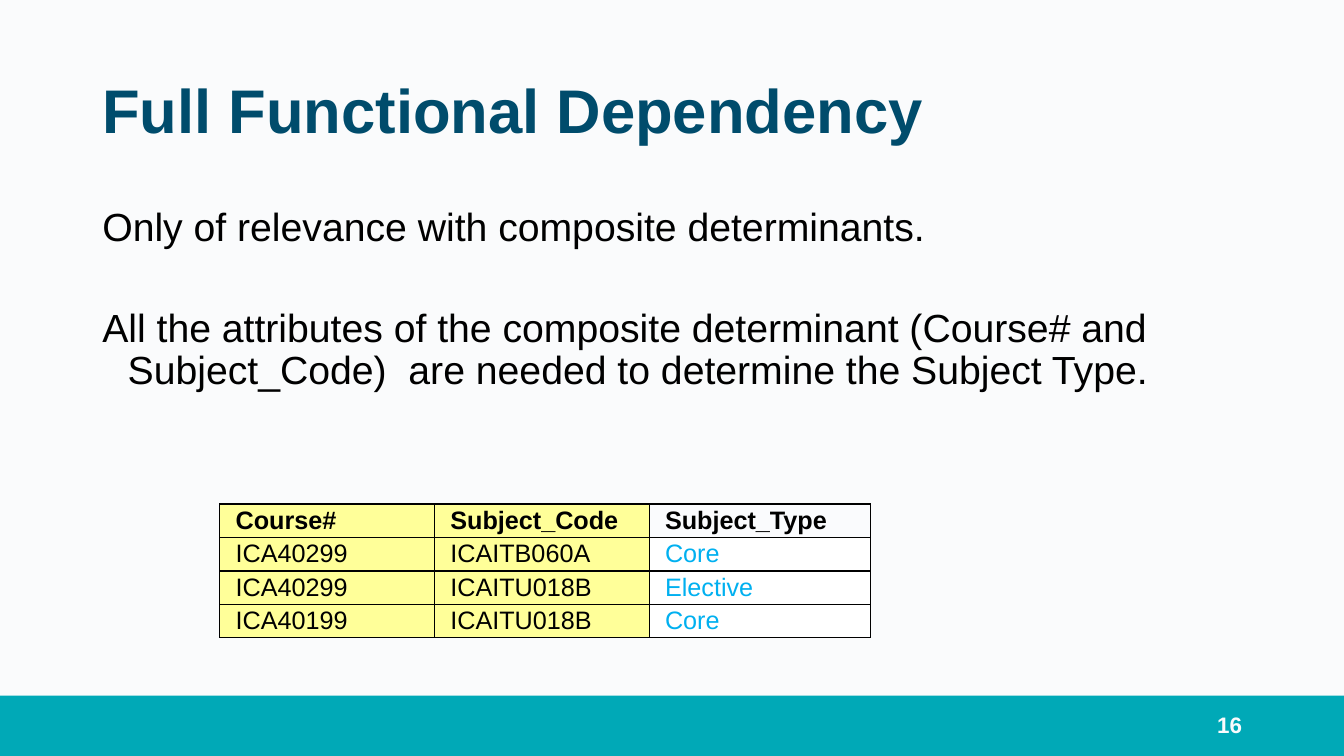
from lxml import etree
from pptx import Presentation
from pptx import util as u
from pptx.dml import color
from pptx.enum import shapes, text
from pptx.oxml import ns


def rgb(value):
    return color.RGBColor.from_string(value)


def write(para, words, size=18, ink="000000", bold=False, align=text.PP_ALIGN.LEFT,
          spacing=1.0, before=0, hanging=0):
    para.alignment = align
    para.line_spacing = spacing
    para.space_before = u.Pt(before)
    if hanging:
        props = para._p.get_or_add_pPr()
        props.set("marL", str(u.Cm(hanging)))
        props.set("indent", str(-u.Cm(hanging)))
    span = para.add_run()
    span.text = words
    span.font.name = "Arial"
    span.font.size = u.Pt(size)
    span.font.bold = bold
    span.font.color.rgb = rgb(ink)


class Page:
    """One slide together with the methods that draw its elements."""

    def __init__(self, deck, background):
        self.slide = deck.slides.add_slide(deck.slide_layouts[6])
        self.slide.background.fill.solid()
        self.slide.background.fill.fore_color.rgb = rgb(background)

    def bar(self, left, top, width, height, fill):
        bar = self.slide.shapes.add_shape(
            shapes.MSO_SHAPE.RECTANGLE, u.Cm(left), u.Cm(top), u.Cm(width), u.Cm(height))
        bar.shadow.inherit = False
        bar.fill.solid()
        bar.fill.fore_color.rgb = rgb(fill)
        bar.line.fill.background()

    def box(self, left, top, width, height, lines, gap=0,
            anchor=text.MSO_ANCHOR.MIDDLE, **style):
        box = self.slide.shapes.add_textbox(u.Cm(left), u.Cm(top), u.Cm(width), u.Cm(height))
        frame = box.text_frame
        frame.word_wrap = True
        frame.vertical_anchor = anchor
        for index, words in enumerate(lines):
            para = frame.add_paragraph() if index else frame.paragraphs[0]
            write(para, words, before=gap if index else 0, **style)

    def table(self, left, top, widths, row_height, rows, fill_of, style_of):
        table = self.slide.shapes.add_table(
            len(rows), len(widths), u.Cm(left), u.Cm(top),
            u.Cm(sum(widths)), u.Cm(row_height * len(rows))).table
        for column, width in zip(table.columns, widths):
            column.width = u.Cm(width)
        for r, row in enumerate(rows):
            table.rows[r].height = u.Cm(row_height)
            for c, words in enumerate(row):
                cell = table.cell(r, c)
                cell.margin_left = u.Cm(0.4)
                cell.margin_right = cell.margin_top = cell.margin_bottom = u.Cm(0.04)
                cell.vertical_anchor = text.MSO_ANCHOR.MIDDLE
                self.borders(cell)
                cell.fill.solid()
                cell.fill.fore_color.rgb = rgb(fill_of(r, c))
                write(cell.text_frame.paragraphs[0], words, **style_of(r, c))

    def borders(self, cell, ink="000000", weight=1):
        props = cell._tc.get_or_add_tcPr()
        for side in ("lnL", "lnR", "lnT", "lnB"):
            line = etree.SubElement(props, ns.qn(f"a:{side}"), w=str(u.Pt(weight)))
            fill = etree.SubElement(line, ns.qn("a:solidFill"))
            etree.SubElement(fill, ns.qn("a:srgbClr"), val=ink)


def cell_fill(row, column):
    if column < 2:
        return "FFFF99"
    return "FFFFFF" if row else "FAFBFD"


def cell_style(row, column):
    return {"bold": row == 0, "ink": "00B0F0" if row and column == 2 else "000000"}


def main():
    deck = Presentation()
    deck.slide_width, deck.slide_height = u.Cm(33.87), u.Cm(19.05)
    page = Page(deck, "FAFBFC")
    page.bar(0, 17.53, 33.87, 1.52, "00A9B7")
    page.box(2.33, 1.02, 29.21, 3.68, ["Full Functional Dependency"],
             size=44, ink="004C6C", bold=True, spacing=0.9)
    page.box(2.33, 5.1, 29.21, 12.09, [
        "Only of relevance with composite determinants.",
        "All the attributes of the composite determinant (Course# and "
        "Subject_Code)  are needed to determine the Subject Type.",
    ], gap=42, anchor=text.MSO_ANCHOR.TOP, size=28, spacing=0.9, hanging=0.64)
    page.box(23.93, 17.75, 7.62, 1.02, ["16"],
             size=16, ink="FAFBFD", bold=True, align=text.PP_ALIGN.RIGHT)
    page.table(5.54, 12.7, [5.41, 5.41, 5.58], 0.82, [
        ["Course#", "Subject_Code", "Subject_Type"],
        ["ICA40299", "ICAITB060A", "Core"],
        ["ICA40299", "ICAITU018B", "Elective"],
        ["ICA40199", "ICAITU018B", "Core"],
    ], cell_fill, cell_style)
    deck.save("out.pptx")


if __name__ == "__main__":
    main()
